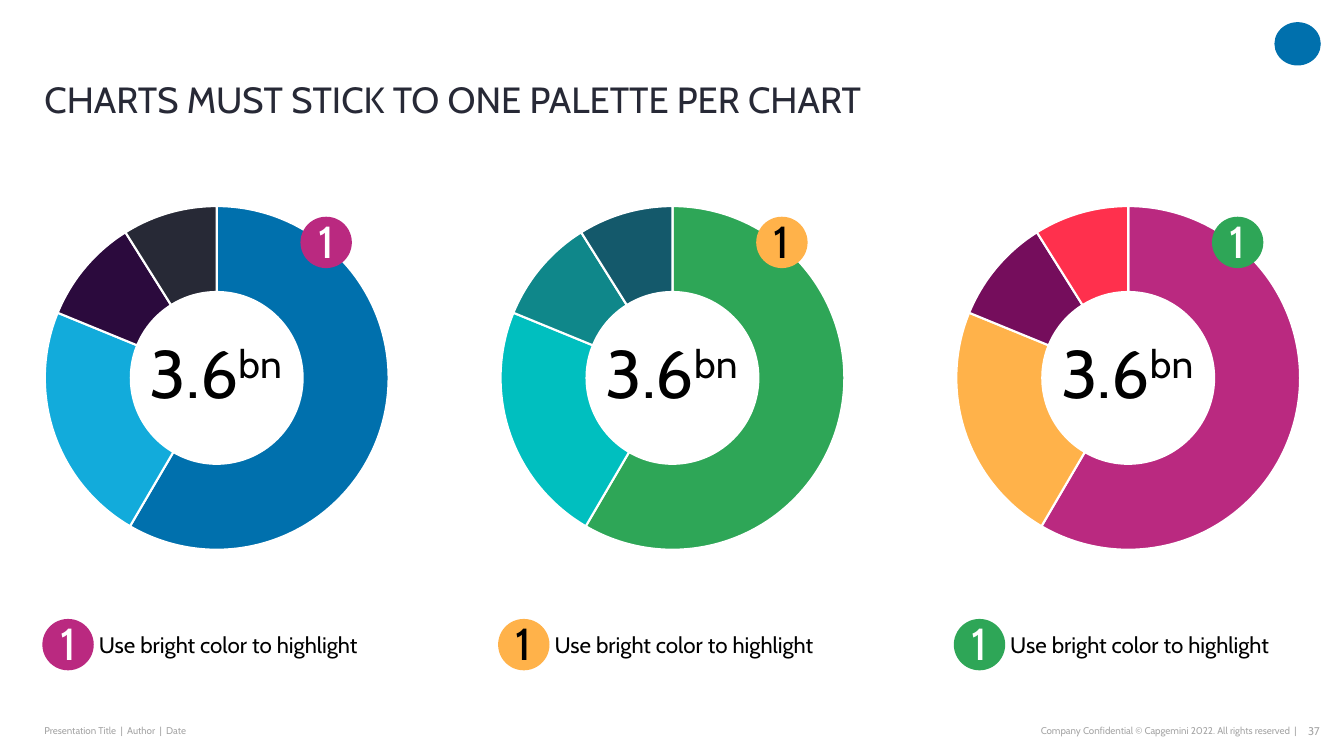
import pptx
import pptx.util
import pptx.chart.data
import pptx.dml.color
import pptx.enum.chart
import pptx.enum.shapes
import pptx.enum.text
import pptx.oxml

Inches = pptx.util.Inches
Pt = pptx.util.Pt
ALIGN = pptx.enum.text.PP_ALIGN
ANCHOR = pptx.enum.text.MSO_ANCHOR

FONT = "Cabin"
COLORS = {
    "white": "FFFFFF", "black": "000000", "grey": "A6A6A6", "ink": "272936",
    "blue": "0070AD", "sky": "12ABDB", "plum": "2B0A3D",
    "green": "2EA657", "turquoise": "00BFBF", "teal": "0F878A", "petrol": "14596B",
    "magenta": "BA2980", "amber": "FFB24A", "purple": "750D5C", "red": "FF304D",
}
TITLE = "CHARTS MUST STICK TO ONE PALETTE PER CHART"
CATEGORIES = ["1", "2", "3", "4"]
VALUES = (59, 23, 10, 9)
TOTAL = [("3.6", 48, None), ("bn", 48, 30)]
BADGE = "1"
LEGEND = "Use bright color to highlight"
PALETTES = [
    {"slices": ["blue", "sky", "plum", "ink"], "badge": "magenta", "digit": "white"},
    {"slices": ["green", "turquoise", "teal", "petrol"], "badge": "amber", "digit": "black"},
    {"slices": ["magenta", "amber", "purple", "red"], "badge": "green", "digit": "white"},
]
FOOTERS = [
    ("Presentation Title  |  Author  |  Date", 0.44, 3.73, 7, ALIGN.LEFT),
    ("Company Confidential © Capgemini 2022. All rights reserved  |", 7.9, 4.96, 7, ALIGN.RIGHT),
    ("37", 12.84, 0.25, 8, ALIGN.RIGHT),
]

CHART_LEFT, CHART_TOP, CHART_W, CHART_H = 0.3, 1.8, 3.7, 3.9
PITCH = 4.52
RING = 3.41
BADGE_SIZE = 0.51


def rgb(name):
    return pptx.dml.color.RGBColor.from_string(COLORS[name])


def box(x, y, w, h):
    return Inches(x), Inches(y), Inches(w), Inches(h)


def write(tf, runs, color, align, anchor=ANCHOR.MIDDLE, insets=(0, 0, 0, 0), wrap=True):
    tf.word_wrap = wrap
    tf.vertical_anchor = anchor
    tf.margin_left, tf.margin_top, tf.margin_right, tf.margin_bottom = map(Inches, insets)
    p = tf.paragraphs[0]
    p.alignment = align
    for text, size, raised in runs:
        r = p.add_run()
        r.text = text
        r.font.name = FONT
        r.font.size = Pt(size)
        r.font.color.rgb = rgb(color)
        if raised:
            r.font._element.set("baseline", str(raised * 1000))
    return p


def add_text(s, place, *args, **kwargs):
    write(s.shapes.add_textbox(*box(*place)).text_frame, *args, **kwargs)


def add_ellipse(s, place, fill):
    sp = s.shapes.add_shape(pptx.enum.shapes.MSO_SHAPE.OVAL, *box(*place))
    sp.shadow.inherit = False
    sp.fill.solid()
    sp.fill.fore_color.rgb = rgb(fill)
    sp.line.fill.background()
    return sp


def add_badge(s, x, y, palette):
    sp = add_ellipse(s, (x, y, BADGE_SIZE, BADGE_SIZE), palette["badge"])
    write(sp.text_frame, [(BADGE, 32, None)], palette["digit"], ALIGN.CENTER,
          insets=(0.1, 0.05, 0.1, 0.08))


def add_doughnut(s, x, slices):
    data = pptx.chart.data.CategoryChartData()
    data.categories = CATEGORIES
    data.add_series("Series 1", VALUES)
    chart = s.shapes.add_chart(pptx.enum.chart.XL_CHART_TYPE.DOUGHNUT,
                               *box(x, CHART_TOP, CHART_W, CHART_H), data).chart
    chart.has_legend = False
    chart.has_title = False
    chart.font.name = FONT
    chart.font.size = Pt(10)
    chart.font.color.rgb = rgb("black")
    plot = chart.plots[0]
    plot.vary_by_categories = False
    for i, color in enumerate(slices):
        fmt = plot.series[0].points[i].format
        fmt.fill.solid()
        fmt.fill.fore_color.rgb = rgb(color)
        fmt.line.color.rgb = rgb("white")
        fmt.line.width = Pt(1.5)
    root = chart._chartSpace
    root.xpath(".//c:holeSize")[0].set("val", "60")
    area = root.xpath(".//c:plotArea")[0]
    for old in area.xpath("./c:layout"):
        area.remove(old)
    w, h = RING / CHART_W, RING / CHART_H
    sizes = {"x": (1 - w) / 2, "y": (1 - h) / 2, "w": w, "h": h}
    tags = "".join(f'<c:{k} val="{v:.4f}"/>' for k, v in sizes.items())
    area.insert(0, pptx.oxml.parse_xml(
        '<c:layout xmlns:c="http://schemas.openxmlformats.org/drawingml/2006/chart">'
        '<c:manualLayout><c:layoutTarget val="inner"/><c:xMode val="edge"/>'
        f'<c:yMode val="edge"/>{tags}</c:manualLayout></c:layout>'))


def main():
    prs = pptx.Presentation()
    prs.slide_width, prs.slide_height = Inches(13.33), Inches(7.5)
    s = prs.slides.add_slide(prs.slide_layouts[5])

    title = s.shapes.title
    title.left, title.top, title.width, title.height = box(0.44, 0.42, 11.97, 0.78)
    p = write(title.text_frame, [(TITLE, 26, None)], "ink", ALIGN.LEFT, ANCHOR.BOTTOM)
    p.line_spacing = 0.9
    title.text_frame.auto_size = pptx.enum.text.MSO_AUTO_SIZE.NONE

    add_ellipse(s, (12.64, 0.22, 0.46, 0.43), "blue")
    for text, x, w, size, align in FOOTERS:
        add_text(s, (x, 7.13, w, 0.24), [(text, size, None)], "grey", align)

    for i, palette in enumerate(PALETTES):
        x = CHART_LEFT + i * PITCH
        add_doughnut(s, x, palette["slices"])
        add_badge(s, x + 2.68, 2.15, palette)
        add_text(s, (x + 1, 3.24, 1.68, 0.91), TOTAL, "black", ALIGN.CENTER,
                 ANCHOR.TOP, (0.1, 0.05, 0.1, 0.05))
        add_badge(s, x + 0.12, 6.14, palette)
        add_text(s, (x + 0.68, 6.26, 2.94, 0.27), [(LEGEND, 16, None)], "black",
                 ALIGN.LEFT, wrap=False)

    prs.save("out.pptx")


if __name__ == "__main__":
    main()
